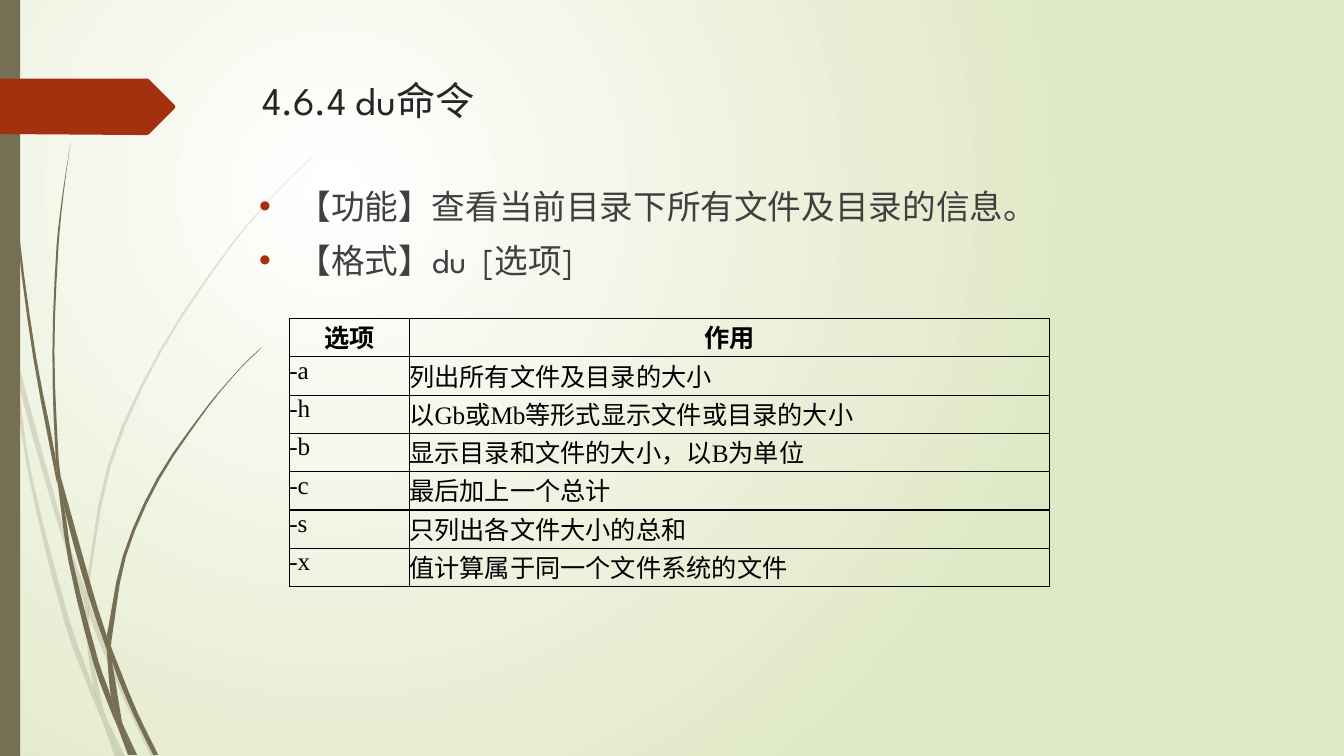
from math import dist
from lxml.etree import SubElement as Sub
from pptx import Presentation
from pptx.dml.color import RGBColor as Rgb
from pptx.enum.shapes import MSO_SHAPE as Kind
from pptx.enum.text import MSO_ANCHOR as Anchor, MSO_AUTO_SIZE as Fit, PP_ALIGN as Align
from pptx.oxml.ns import qn
from pptx.util import Pt

TITLE = "4.6.4 du命令"
ITEMS = ["【功能】查看当前目录下所有文件及目录的信息。", "【格式】du  [选项]"]
ROWS = [
    ("选项", "作用"),
    ("-a", "列出所有文件及目录的大小"),
    ("-h", "以Gb或Mb等形式显示文件或目录的大小"),
    ("-b", "显示目录和文件的大小，以B为单位"),
    ("-c", "最后加上一个总计"),
    ("-s", "只列出各文件大小的总和"),
    ("-x", "值计算属于同一个文件系统的文件"),
]
COLS = [119, 635]
ROW = 38
INK = {"stem": "766F54", "tag": "A53010", "title": "262626", "body": "404040",
       "cell": "000000", "glow": "FFFFFF", "edge": "DFE8C4"}
FONT = {"head": "League Spartan", "cell": "Times New Roman"}
PALE = [
    ([(0, 282), (9, 322), (11, 350)], [(0, 299), (10, 344), (11, 350)]),
    ([(14, 345), (17, 376), (58, 522), (84, 599)], [(14, 345), (62, 520), (85, 586)]),
    ([(88, 596), (88, 610), (123, 694), (150, 751)],
     [(88, 596), (92, 607), (127, 692), (155, 751)]),
    ([(105, 711), (119, 751)], [(105, 711), (124, 751)]),
    ([(11, 350), (28, 470), (65, 621), (92, 693), (101, 714)],
     [(11, 350), (17, 376), (31, 469), (70, 619), (93, 683), (99, 707), (101, 714)]),
    ([(84, 599), (87, 646), (93, 683), (96, 692), (105, 711)],
     [(84, 599), (88, 608), (88, 610), (91, 646), (103, 706), (105, 711)]),
    ([(312, 153), (289, 175), (268, 197), (228, 244), (158, 348), (107, 461), (85, 584),
      (85, 586), (88, 596)],
     [(312, 154), (290, 175), (268, 198), (229, 245), (160, 349), (110, 462), (88, 584),
      (88, 596)]),
    ([(101, 714), (114, 751)], [(101, 714), (119, 751)]),
    ([(85, 586), (84, 599), (88, 608)], [(85, 586), (88, 596), (88, 610)]),
    ([(93, 683), (99, 707), (101, 714), (119, 751)],
     [(93, 683), (96, 692), (105, 711), (119, 751)]),
]
DARK = [
    ([(3, 0), (4, 48), (7, 110), (17, 233), (33, 355), (56, 477), (57, 481)],
     [(4, 0), (5, 48), (8, 109), (19, 232), (36, 355), (55, 453), (57, 481)]),
    ([(60, 472), (64, 505), (88, 592), (106, 645)], [(60, 472), (93, 590), (106, 631)]),
    ([(110, 641), (111, 656), (132, 708), (152, 749)],
     [(110, 641), (113, 649), (136, 706), (157, 749)]),
    ([(57, 477), (68, 557), (93, 659), (111, 708), (117, 722)],
     [(57, 477), (64, 505), (72, 556), (98, 657), (110, 691), (116, 717), (117, 722)]),
    ([(70, 141), (62, 193), (56, 245), (52, 349), (55, 449), (60, 472)],
     [(70, 141), (63, 193), (58, 245), (54, 349), (58, 453), (60, 472)]),
    ([(122, 719), (133, 749)], [(122, 719), (136, 749)]),
    ([(55, 449), (57, 477), (64, 505)], [(55, 449), (60, 472), (64, 505)]),
    ([(260, 344), (245, 358), (231, 373), (204, 405), (156, 474), (122, 551), (106, 631)],
     [(261, 344), (245, 359), (231, 374), (205, 406), (158, 476), (125, 552), (111, 633),
      (110, 641)]),
    ([(117, 722), (127, 749)], [(117, 722), (131, 749)]),
    ([(106, 645), (110, 691), (116, 706), (122, 719)],
     [(106, 645), (109, 651), (111, 656), (121, 716), (122, 719)]),
    ([(106, 631), (106, 645), (111, 656)], [(106, 631), (110, 641), (111, 656)]),
    ([(110, 691), (116, 717), (117, 722), (130, 749)],
     [(110, 691), (116, 706), (122, 719), (133, 749)]),
]
TAG = [(0, 78), (146, 78), (148, 79), (173, 104), (174, 106), (173, 108), (148, 133),
       (146, 134), (136, 134), (0, 133)]
STEPS = 3
PX = 9144


def px(*vals):
    return [round(v * PX) for v in vals]


def put(obj, **vals):
    for key, val in vals.items():
        setattr(obj, key, val)


def style(font, name, size, ink, bold=False):
    put(font, name=name, size=Pt(size), bold=bold)
    font.color.rgb = Rgb.from_string(INK[ink])


def paint(shape, ink):
    shape.shadow.inherit = False
    shape.fill.solid()
    shape.fill.fore_color.rgb = Rgb.from_string(INK[ink])
    shape.line.fill.background()


def slope(pts, i):
    a, b = max(i - 1, 0), min(i + 1, len(pts) - 1)
    span = sum(dist(pts[k], pts[k + 1]) for k in range(a, b))
    return [(q - p) / span for p, q in zip(pts[a], pts[b])]


def smooth(pts):
    out = [pts[0]]
    for i, (p, q) in enumerate(zip(pts, pts[1:])):
        gap, m, n = dist(p, q), slope(pts, i), slope(pts, i + 1)
        for k in range(1, STEPS + 1):
            t = k / STEPS
            e = t * t * (3 - 2 * t)
            u, v = gap * t * (1 - t) ** 2, gap * t * t * (t - 1)
            out.append(tuple(p[c] * (1 - e) + q[c] * e + u * m[c] + v * n[c] for c in (0, 1)))
    return out


def trace(slide, pts, ink, alpha=None):
    pts = [px(*p) for p in pts]
    pen = slide.shapes.build_freeform(*pts[0], scale=1.0)
    pen.add_line_segments(pts[1:], close=True)
    shape = pen.convert_to_shape()
    paint(shape, ink)
    if alpha:
        hue = shape._element.spPr.find(qn("a:solidFill"))[0]
        Sub(hue, qn("a:alpha"), val=str(alpha * 1000))


def back(slide):
    fill = slide.background.fill
    fill.gradient()
    for stop, ink in zip(fill.gradient_stops, ("glow", "edge")):
        stop.color.rgb = Rgb.from_string(INK[ink])
    grad = next(slide._element.iter(qn("a:gradFill")))
    grad.remove(grad.find(qn("a:lin")))
    ring = Sub(grad, qn("a:path"), path="circle")
    Sub(ring, qn("a:fillToRect"), l="50000", t="50000", r="100000", b="100000")


def place(slide, holder, box):
    put(holder, **dict(zip(("left", "top", "width", "height"), px(*box))))
    frame = holder.text_frame
    put(frame, word_wrap=True, auto_size=Fit.NONE, vertical_anchor=Anchor.TOP)
    slide.shapes._spTree.append(holder._element)
    return frame


def bullet(para):
    props = para._p.get_or_add_pPr()
    step = px(38)[0]
    props.set("marL", str(step))
    props.set("indent", str(-step))
    Sub(Sub(props, qn("a:buClr")), qn("a:srgbClr"), val=INK["tag"])
    Sub(props, qn("a:buFont"), typeface="Arial")
    Sub(props, qn("a:buChar"), char="•")


def words(slide):
    head, body = slide.placeholders
    frame = place(slide, head, (231, 71, 975, 69))
    frame.margin_left = px(29)[0]
    frame.text = TITLE
    para = frame.paragraphs[0]
    para.alignment = Align.LEFT
    style(para.runs[0].font, FONT["head"], 28, "title")
    frame = place(slide, body, (247, 179, 975, 114))
    frame.text = "\n".join(ITEMS)
    for i, para in enumerate(frame.paragraphs):
        bullet(para)
        para.space_before = Pt(10 if i else 0)
        style(para.runs[0].font, FONT["head"], 24, "body")


def border(cell, col):
    props = cell._tc.get_or_add_tcPr()
    wide = {"L": 0.5 if col else 1, "R": 1 if col else 0.5, "T": 1, "B": 1}
    for i, (side, size) in enumerate(wide.items()):
        line = props.makeelement(qn("a:ln" + side), {"w": str(Pt(size))})
        Sub(Sub(line, qn("a:solidFill")), qn("a:srgbClr"), val=INK["cell"])
        props.insert(i, line)


def grid(slide):
    box = px(287, 316, sum(COLS), ROW * len(ROWS))
    table = slide.shapes.add_table(len(ROWS), len(COLS), *box).table
    put(table, first_row=False, horz_banding=False)
    for col, wide in zip(table.columns, px(*COLS)):
        col.width = wide
    for r, texts in enumerate(ROWS):
        table.rows[r].height = px(ROW)[0]
        for c, text in enumerate(texts):
            cell = table.cell(r, c)
            put(cell, text=text, margin_left=0, margin_right=0, margin_top=0, margin_bottom=0)
            cell.fill.background()
            para = cell.text_frame.paragraphs[0]
            para.alignment = Align.LEFT if r else Align.CENTER
            style(para.runs[0].font, FONT["cell"], 18, "cell", r == 0)
            border(cell, c)


def main():
    deck = Presentation()
    deck.slide_width, deck.slide_height = px(1333, 750)
    slide = deck.slides.add_slide(deck.slide_layouts[1])
    back(slide)
    for blades, alpha in ((PALE, 20), (DARK, None)):
        for left, right in blades:
            trace(slide, smooth(left) + smooth(right)[:0:-1], "stem", alpha)
    paint(slide.shapes.add_shape(Kind.RECTANGLE, *px(0, 0, 20, 750)), "stem")
    trace(slide, TAG, "tag")
    words(slide)
    grid(slide)
    deck.save("out.pptx")


if __name__ == "__main__":
    main()
